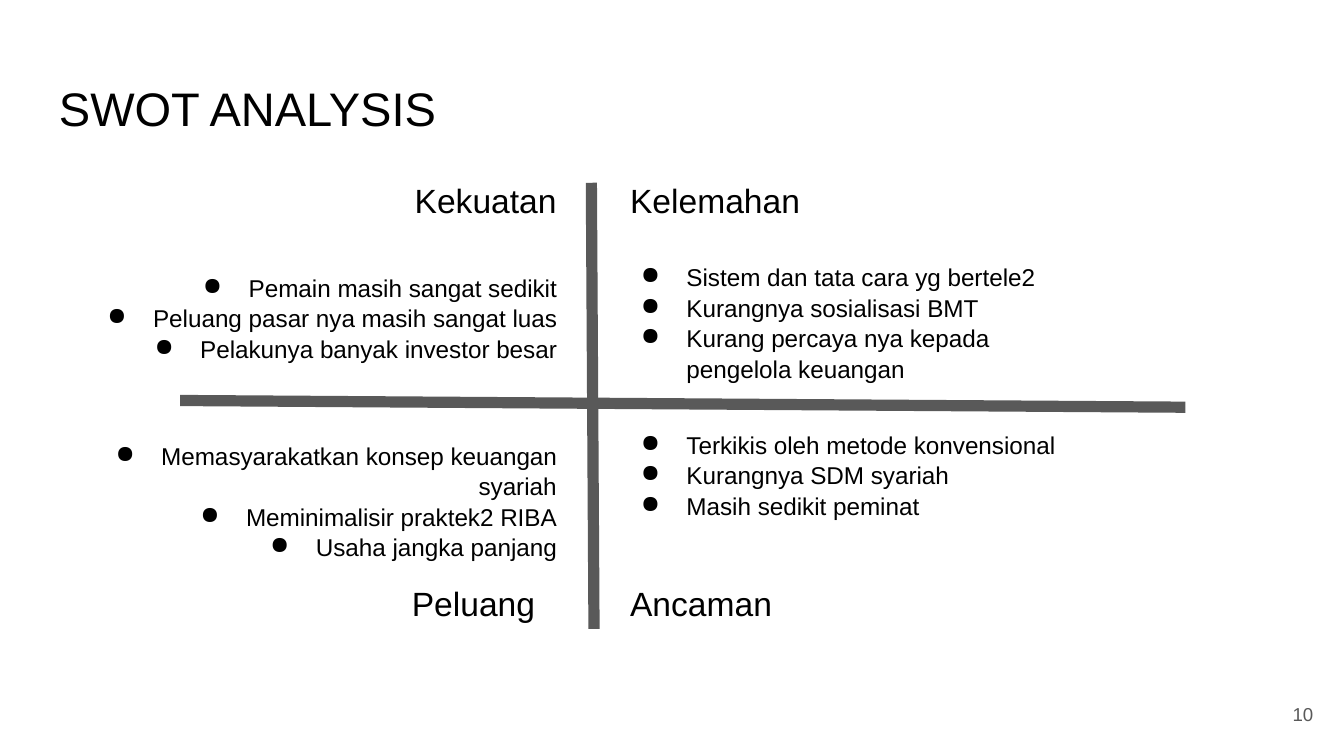
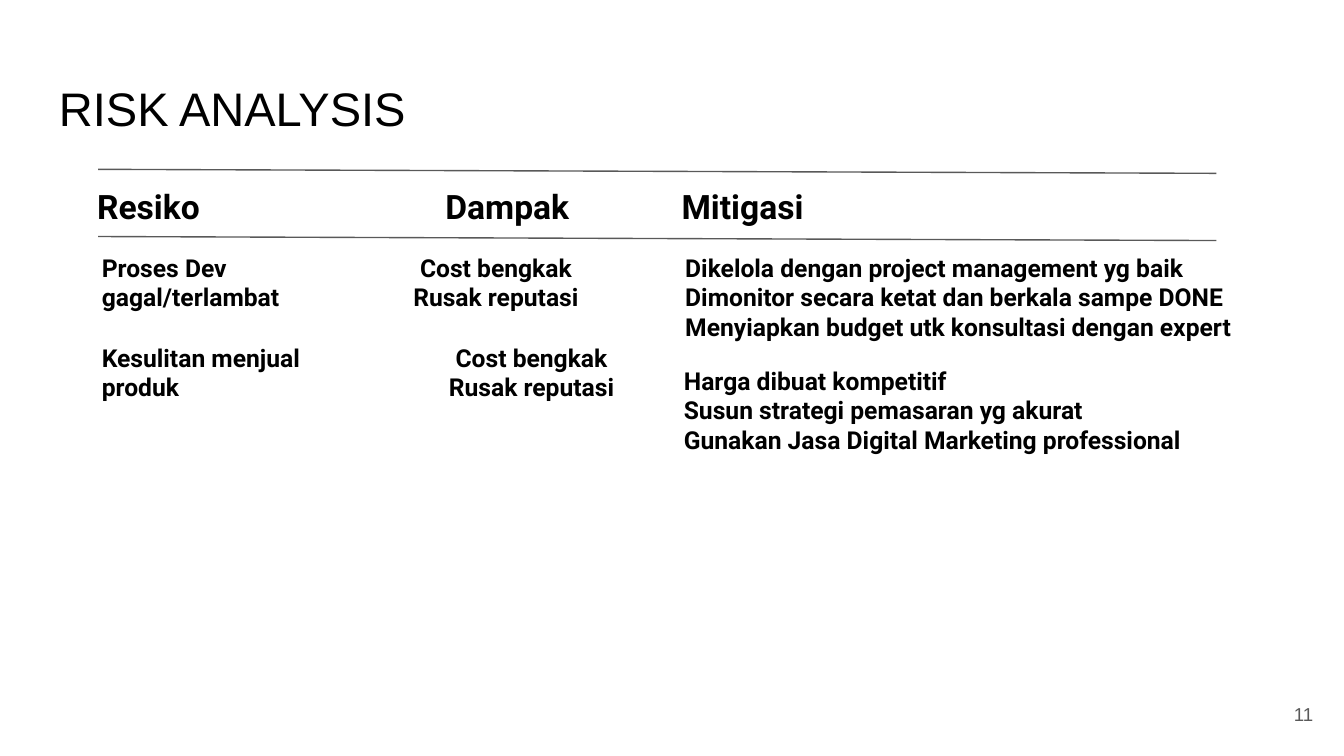
from copy import deepcopy
from pptx import Presentation
from pptx.dml.color import RGBColor
from pptx.enum.shapes import MSO_CONNECTOR as CONN
from pptx.enum.text import MSO_ANCHOR as ANCHOR, PP_ALIGN as ALIGN
from pptx.oxml.ns import qn
from pptx.util import Inches, Pt
from lxml.etree import SubElement

# Square grid: 100 columns across the slide, cells of 0.1 inch
COLS, ROWS = 100, 56.25
CELL = Inches(10) / COLS
BLACK, GREY = "000000", "595959"
ALIGNS = {"l": ALIGN.LEFT, "c": ALIGN.CENTER, "r": ALIGN.RIGHT}

prs = Presentation()
prs.slide_width, prs.slide_height = int(COLS * CELL), int(ROWS * CELL)


def add_text(s, lines, x, y, w, h, size=18, font="Arial", color=BLACK, bold=False,
             align="l", anchor=ANCHOR.TOP, bullet=None, spacing=1.0):
    """Each line is a paragraph; a \\v inside it is a line break."""
    tf = s.shapes.add_textbox(*(int(v * CELL) for v in (x, y, w, h))).text_frame
    tf.word_wrap, tf.vertical_anchor = True, anchor
    tf.margin_left = tf.margin_right = tf.margin_top = tf.margin_bottom = Inches(0.1)
    for i, line in enumerate(lines):
        p = tf.add_paragraph() if i else tf.paragraphs[0]
        p.text, p.alignment, p.line_spacing = line, ALIGNS[align], spacing
        for r in p.runs:
            r.font.size, r.font.name, r.font.bold = Pt(size), font, bold
            r.font.color.rgb = RGBColor.from_string(color)
        for br in p._p.findall(qn("a:br")):
            br.insert(0, deepcopy(p.runs[0]._r.rPr))
        if bullet:
            pPr = p._p.get_or_add_pPr()
            pPr.set("marL", str(Inches(0.5)))
            pPr.set("indent", str(-Inches(0.34)))
            SubElement(SubElement(pPr, qn("a:buClr")), qn("a:srgbClr")).set("val", color)
            SubElement(pPr, qn("a:buChar")).set("char", bullet)


def add_line(s, x1, y1, x2, y2, width):
    c = s.shapes.add_connector(CONN.STRAIGHT, *(int(v * CELL) for v in (x1, y1, x2, y2)))
    c.line.width = Pt(width)
    c.line.color.rgb = RGBColor.from_string(GREY)
    SubElement(c._element.spPr, qn("a:effectLst"))


# Shared frame: title and page number
slides = []
for number, title in ((10, "SWOT ANALYSIS"), (11, "RISK ANALYSIS")):
    s = prs.slides.add_slide(prs.slide_layouts[6])
    add_text(s, [title], 3.4, 4.9, 93.2, 6.3, size=25.2)
    add_text(s, [str(number)], 92.7, 51, 6, 4.3, size=10, color=GREY,
             align="r", anchor=ANCHOR.MIDDLE)
    slides.append(s)
swot, risk = slides

# SWOT: two crossing axes and four quadrants
add_line(swot, 13.4, 29.8, 88.2, 30.3, 6)
add_line(swot, 44, 13.6, 44.2, 46.8, 6)
LEFT, RIGHT = 5.1, 45.1
TOP, BOTTOM = 12.4, 42.4
quadrants = [
    ("Kekuatan", 26.7, TOP, LEFT, 19.2, 8.6, "r",
     ["Pemain masih sangat sedikit", "Peluang pasar nya masih sangat luas",
      "Pelakunya banyak investor besar"]),
    ("Kelemahan", 45.9, TOP, RIGHT, 18.4, 10.8, "l",
     ["Sistem dan tata cara yg bertele2", "Kurangnya sosialisasi BMT",
      "Kurang percaya nya kepada pengelola keuangan"]),
    ("Peluang", 25.1, BOTTOM, LEFT, 31.7, 10.8, "r",
     ["Memasyarakatkan konsep keuangan syariah", "Meminimalisir praktek2 RIBA",
      "Usaha jangka panjang"]),
    ("Ancaman", 45.9, BOTTOM, RIGHT, 30.9, 8.6, "l",
     ["Terkikis oleh metode konvensional", "Kurangnya SDM syariah",
      "Masih sedikit peminat"]),
]
for name, name_x, name_y, x, y, h, align, points in quadrants:
    add_text(swot, points, x, y, 37.3, h, size=13, align=align, bullet="●", spacing=1.05)
    add_text(swot, [name], name_x, name_y, 15.7, 6.3, align=align)

# Risk: a header between two rules, then two rows of three entries
for y in (12.6, 17.6):
    add_line(risk, 7.3, y, 90.5, y + 0.3, 0.75)
for name, x in (("Resiko", 3.2), ("Dampak", 29.9), ("Mitigasi", 47.4)):
    add_text(risk, [name], x, 12.8, 15.7, 5.6, font="Roboto", bold=True, align="c")

IMPACT = ["Cost bengkak", "Rusak reputasi"]
entries = [
    (6.6, 17.8, 19, 5.6, "l", ["Proses Dev gagal/terlambat"]),
    (27.4, 17.8, 19, 5.6, "c", IMPACT),
    (50, 17.8, 44.1, 9.4, "l",
     ["Dikelola dengan project management yg baik\v"
      "Dimonitor secara ketat dan berkala sampe DONE",
      "Menyiapkan budget utk konsultasi dengan expert"]),
    (6.6, 24.5, 19, 5.6, "l", ["Kesulitan menjual produk"]),
    (29.1, 24.5, 20.9, 12.1, "c", IMPACT),
    (49.9, 26.2, 43.3, 11.4, "l",
     ["Harga dibuat kompetitif",
      "Susun strategi pemasaran yg akurat\vGunakan Jasa Digital Marketing professional"]),
]
for x, y, w, h, align, lines in entries:
    add_text(risk, lines, x, y, w, h, size=13.2, font="Roboto", bold=True, align=align)

prs.save("out.pptx")
